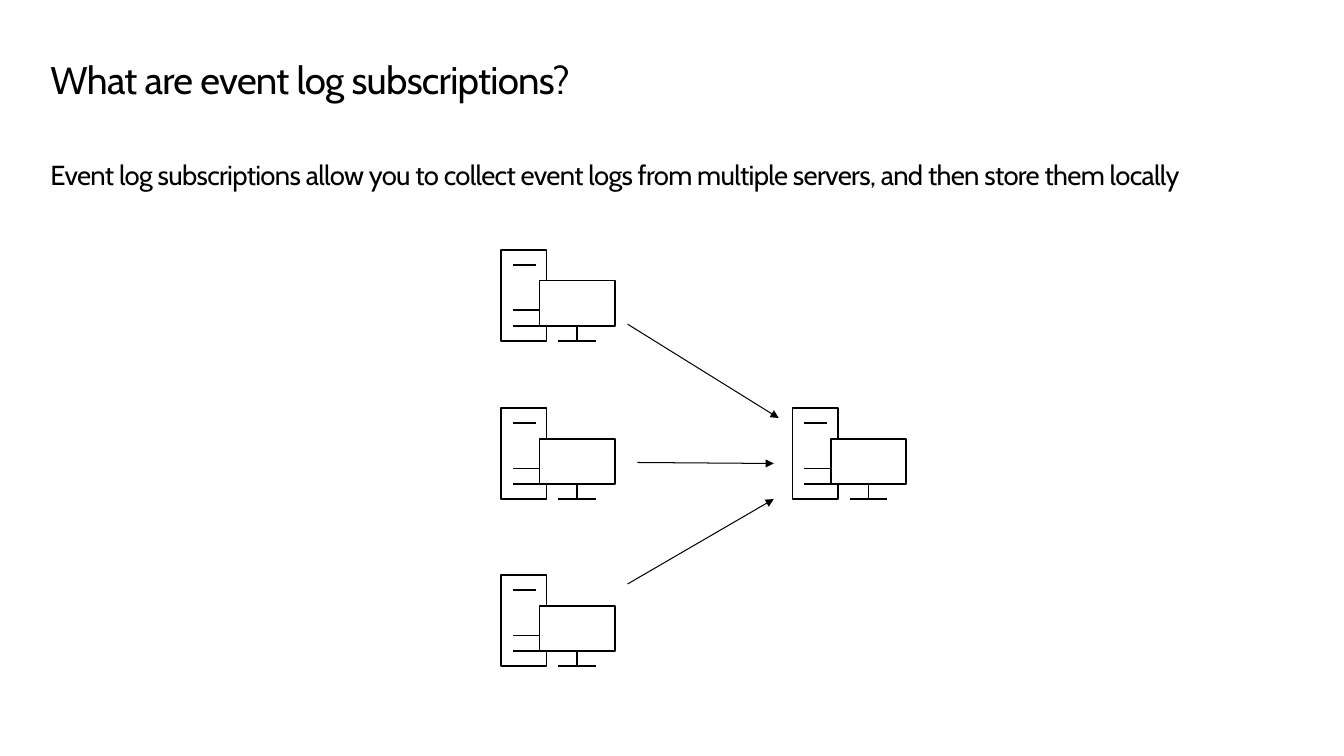
from dataclasses import dataclass

from pptx import Presentation
from pptx.dml.color import RGBColor
from pptx.enum.shapes import MSO_CONNECTOR as Connector
from pptx.enum.text import MSO_ANCHOR as Anchor
from pptx.oxml.ns import qn
from pptx.util import Inches, Pt
from lxml.etree import SubElement


@dataclass(frozen=True)
class Theme:
    font: str = "Cabin"
    ink: RGBColor = RGBColor(0, 0, 0)
    paper: RGBColor = RGBColor(255, 255, 255)
    title_size: float = 28
    body_size: float = 20
    letter_spacing: float = -0.5
    icon_line: float = 1.25
    arrow_line: float = 0.75


THEME = Theme()

# Strokes of a server with its monitor, in hundredths of an inch
SERVER_STROKES = [
    [(39, 31), (115, 31), (115, 77), (39, 77), (39, 31)],  # screen
    [(77, 77), (77, 92)],  # stand
    [(58, 92), (96, 92)],  # foot
    [(12, 15), (35, 15)],  # drive slot
    [(12, 77), (39, 77)],  # lower vent
    [(12, 61), (39, 61)],  # upper vent
    [(46, 31), (46, 0), (0, 0), (0, 92), (46, 92), (46, 77)],  # tower
]


def add_text(slide, box, wording, size, line_spacing=1.0):
    frame = slide.shapes.add_textbox(*map(Inches, box)).text_frame
    frame.word_wrap = True
    frame.vertical_anchor = Anchor.TOP
    frame.margin_left = frame.margin_top = frame.margin_bottom = 0
    frame.margin_right = Inches(0.1)
    paragraph = frame.paragraphs[0]
    paragraph.line_spacing = line_spacing
    run = paragraph.add_run()
    run.text = wording
    run._r.get_or_add_rPr().set("spc", str(int(THEME.letter_spacing * 100)))
    paragraph.font.name = THEME.font
    paragraph.font.size = Pt(size)
    paragraph.font.color.rgb = THEME.ink


def add_server(slide, left, top):
    first, *others = SERVER_STROKES
    outline = slide.shapes.build_freeform(*first[0], scale=Inches(0.01))
    outline.add_line_segments(first[1:], close=False)
    for stroke in others:
        outline.move_to(*stroke[0])
        outline.add_line_segments(stroke[1:], close=False)
    server = outline.convert_to_shape(Inches(left), Inches(top))
    server.shadow.inherit = False
    server.fill.background()
    server.line.color.rgb = THEME.ink
    server.line.width = Pt(THEME.icon_line)


def add_arrow(slide, start, end):
    arrow = slide.shapes.add_connector(Connector.STRAIGHT, *map(Inches, start + end))
    arrow.line.color.rgb = THEME.ink
    arrow.line.width = Pt(THEME.arrow_line)
    SubElement(arrow.line._get_or_add_ln(), qn("a:tailEnd"), type="triangle")
    SubElement(arrow._element.spPr, qn("a:effectLst"))


def add_subscription_diagram(slide, left, top):
    # Source servers on the left, collector on the right
    for across, down in [(0, 0), (0, 1.6), (0, 3.29), (2.95, 1.6)]:
        add_server(slide, left + across, top + down)

    # Event logs flowing to the collector
    flows = [
        ((1.28, 0.75), (2.81, 1.7)),
        ((1.38, 2.15), (2.76, 2.16)),
        ((1.28, 3.38), (2.76, 2.52)),
    ]
    for start, end in flows:
        add_arrow(slide, (left + start[0], top + start[1]),
                  (left + end[0], top + end[1]))


def build_slide(deck):
    slide = deck.slides.add_slide(deck.slide_layouts[6])
    slide.background.fill.solid()
    slide.background.fill.fore_color.rgb = THEME.paper

    # Heading and explanation
    add_text(slide, (0.51, 0.62, 12.61, 0.45),
             "What are event log subscriptions?", THEME.title_size, 0.9)
    add_text(slide, (0.51, 1.6, 12.62, 0.5),
             "Event log subscriptions allow you to collect event logs from "
             "multiple servers, and then store them locally", THEME.body_size)

    add_subscription_diagram(slide, 5.07, 2.53)


def main():
    deck = Presentation()
    deck.slide_width, deck.slide_height = Inches(13.6), Inches(7.65)
    build_slide(deck)
    deck.save("out.pptx")


if __name__ == "__main__":
    main()
